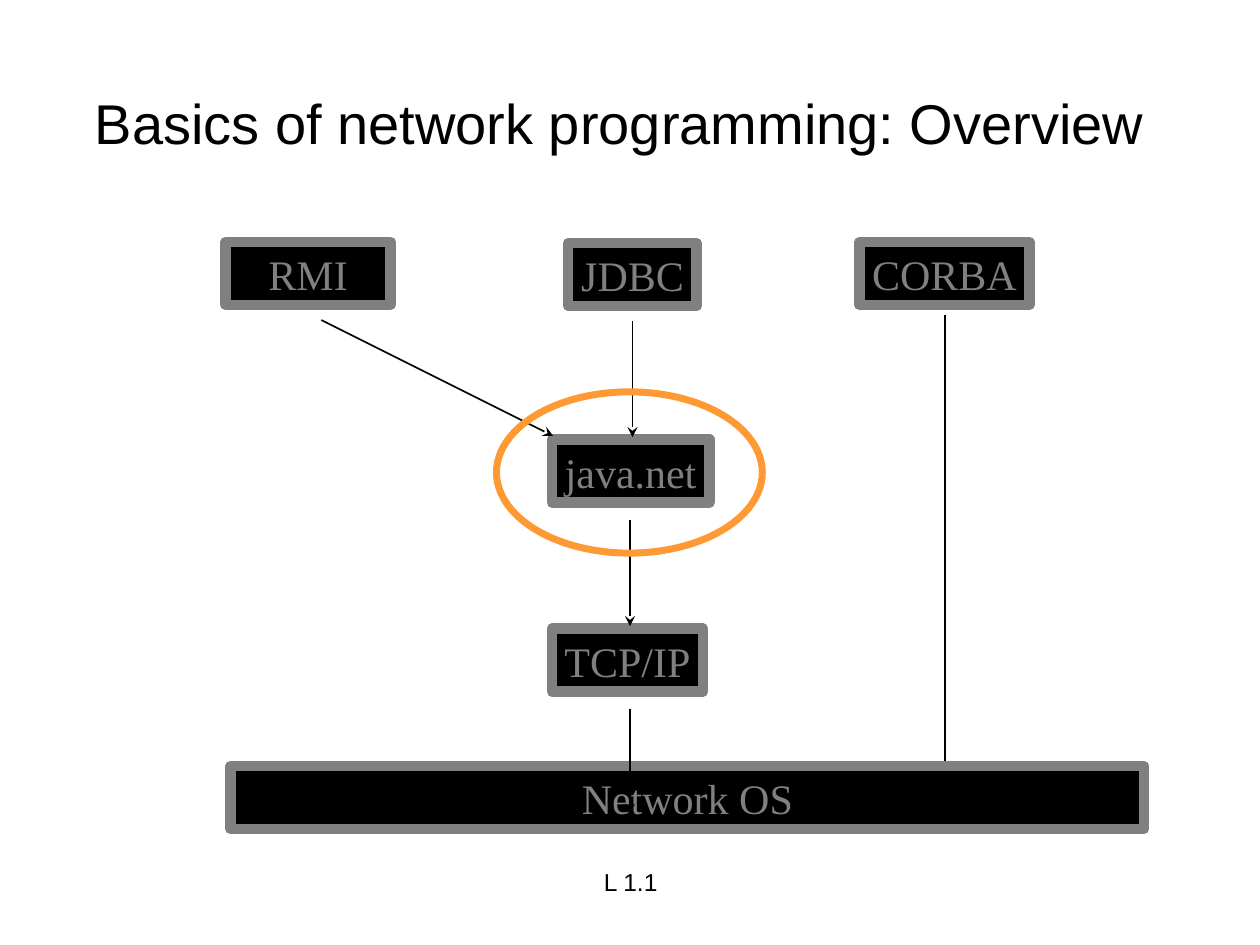
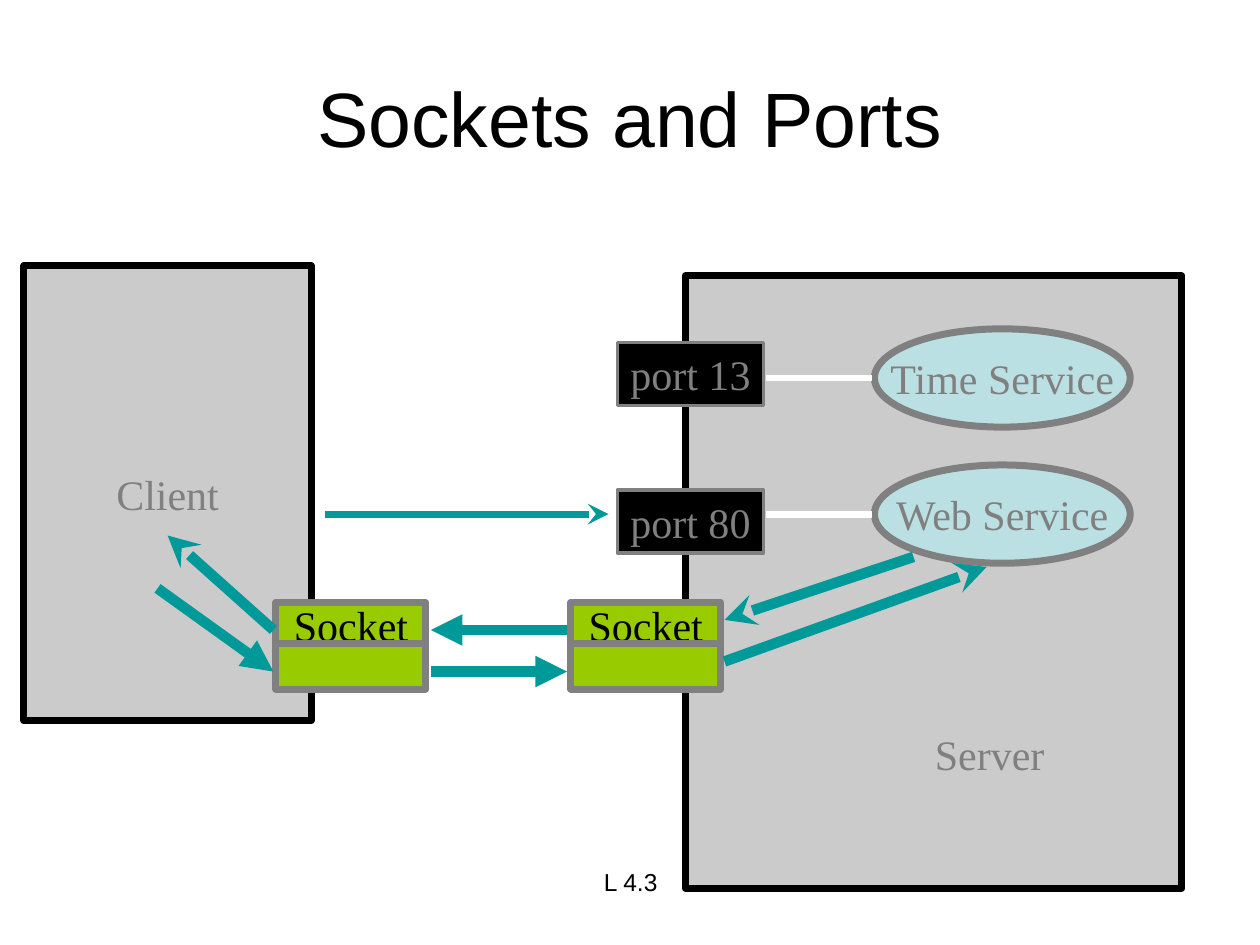
"""Build two network programming slides: an API overview and a sockets diagram."""
from dataclasses import dataclass

from lxml import etree
from pptx import Presentation
from pptx import util as u
from pptx.dml.color import RGBColor
from pptx.enum import shapes, text
from pptx.oxml.ns import qn


@dataclass(frozen=True)
class Theme:
    black: str = "000000"
    gray: str = "808080"
    panel: str = "CBCBCB"
    white: str = "FFFFFF"
    service: str = "BBE0E3"
    socket: str = "99CC00"
    flow: str = "009999"
    highlight: str = "FF9933"
    heading_font: str = "Arial"
    label_font: str = "Times New Roman"
    title_size: int = 44
    long_title_size: int = 32
    label_size: int = 24
    footer_size: int = 14


theme = Theme()
RECT = shapes.MSO_SHAPE.RECTANGLE
OVAL = shapes.MSO_SHAPE.OVAL


def add_box(page, label, at, shape=RECT, fill=None, line=None, width=4,
            font=theme.label_font, size=theme.label_size, color=theme.gray,
            anchor=text.MSO_ANCHOR.MIDDLE):
    place = [u.Inches(value) for value in at]
    if fill or line:
        box = page.shapes.add_shape(shape, *place)
        box.shadow.inherit = False
    else:
        box = page.shapes.add_textbox(*place)
    if fill:
        box.fill.solid()
        box.fill.fore_color.rgb = RGBColor.from_string(fill)
    else:
        box.fill.background()
    if line:
        box.line.color.rgb = RGBColor.from_string(line)
        box.line.width = u.Pt(width)
    if label:
        frame_format = {"word_wrap": False, "vertical_anchor": anchor,
                        "auto_size": text.MSO_AUTO_SIZE.NONE}
        for name, value in frame_format.items():
            setattr(box.text_frame, name, value)
        para = box.text_frame.paragraphs[0]
        para.alignment = text.PP_ALIGN.CENTER
        span = para.add_run()
        span.text = label
        for name, value in {"name": font, "size": u.Pt(size)}.items():
            setattr(span.font, name, value)
        span.font.color.rgb = RGBColor.from_string(color)


def add_link(page, start, end, color=theme.black, width=1, arrow=None):
    ends = [u.Inches(value) for value in (*start, *end)]
    link = page.shapes.add_connector(shapes.MSO_CONNECTOR.STRAIGHT, *ends)
    link.line.color.rgb = RGBColor.from_string(color)
    link.line.width = u.Pt(width)
    if arrow:
        tip = etree.SubElement(link.line._get_or_add_ln(), qn("a:tailEnd"))
        tip.set("type", arrow)
    etree.SubElement(link._element.spPr, qn("a:effectLst"))


deck = Presentation()
deck.slide_width, deck.slide_height = u.Inches(10), u.Inches(7.5)
overview, sockets = [deck.slides.add_slide(deck.slide_layouts[6]) for _ in range(2)]

heading = {"font": theme.heading_font, "color": theme.black}
add_box(overview, "Basics of network programming: Overview",
        (0.42, 0.34, 9, 1.25), size=theme.long_title_size, **heading)

node = {"fill": theme.black, "line": theme.gray}
for label, at in (
    ("TCP/IP", (4.38, 4.99, 1.2, 0.5)),
    ("java.net", (4.38, 3.49, 1.25, 0.5)),
    ("RMI", (1.79, 1.92, 1.31, 0.5)),
    ("JDBC", (4.51, 1.93, 1.02, 0.5)),
):
    add_box(overview, label, at, width=6, **node)

for start, end in (
    ((5.02, 2.55), (5.02, 3.47)),
    ((2.55, 2.54), (4.39, 3.46)),
    ((5, 4.13), (5, 4.97)),
    ((7.5, 2.5), (7.5, 6.33)),
):
    add_link(overview, start, end, arrow="stealth")

add_box(overview, "CORBA", (6.82, 1.92, 1.35, 0.5), width=6, **node)
add_box(overview, "Network OS", (1.83, 6.08, 7.25, 0.5), width=6, **node)
add_link(overview, (5, 5.63), (5, 6.46), arrow="stealth")
add_box(overview, None, (3.94, 3.11, 2.11, 1.28), OVAL, line=theme.highlight)

panel = {"fill": theme.panel, "line": theme.black}
add_box(sockets, "Client", (0.19, 2.11, 2.28, 3.61), **panel)
add_box(sockets, "Sockets and Ports", (0.5, 0.3, 9, 1.25),
        size=theme.title_size, **heading)
add_box(sockets, None, (5.44, 2.19, 3.94, 4.86), **panel)
add_box(sockets, "Server", (7.32, 5.73, 1.07, 0.5))

for port, port_top, service, service_top, link_y in (
    ("port 13", 2.72, "Time Service", 2.61, 3),
    ("port 80", 3.89, "Web Service", 3.69, 4.08),
):
    add_box(sockets, port, (4.9, port_top, 1.16, 0.5), width=2, **node)
    add_box(sockets, service, (6.94, service_top, 2.03, 0.78), OVAL,
            fill=theme.service, line=theme.gray)
    add_link(sockets, (6.08, link_y), (6.92, link_y), theme.white, 4)

for left in (2.19, 4.53):
    for label, top in (("Socket", 4.78), (None, 5.11)):
        add_box(sockets, label, (left, top, 1.19, 0.36), fill=theme.socket,
                line=theme.gray, color=theme.black)

for start, end, width, arrow in (
    ((2.58, 4.08), (4.83, 4.08), 4, "stealth"),
    ((2.17, 5), (1.33, 4.25), 6, "stealth"),
    ((1.25, 4.67), (2.17, 5.33), 6, "triangle"),
    ((4.5, 5), (3.42, 5), 6, "triangle"),
    ((3.42, 5.33), (4.5, 5.33), 6, "triangle"),
    ((7.25, 4.42), (5.75, 4.92), 6, "stealth"),
    ((5.75, 5.25), (7.83, 4.5), 6, "stealth"),
):
    add_link(sockets, start, end, theme.flow, width, arrow)

for page, label in ((overview, "L 1.1"), (sockets, "L 4.3")):
    add_box(page, label, (3.42, 6.83, 3.17, 0.52), size=theme.footer_size,
            anchor=text.MSO_ANCHOR.TOP, **heading)

deck.save("out.pptx")
